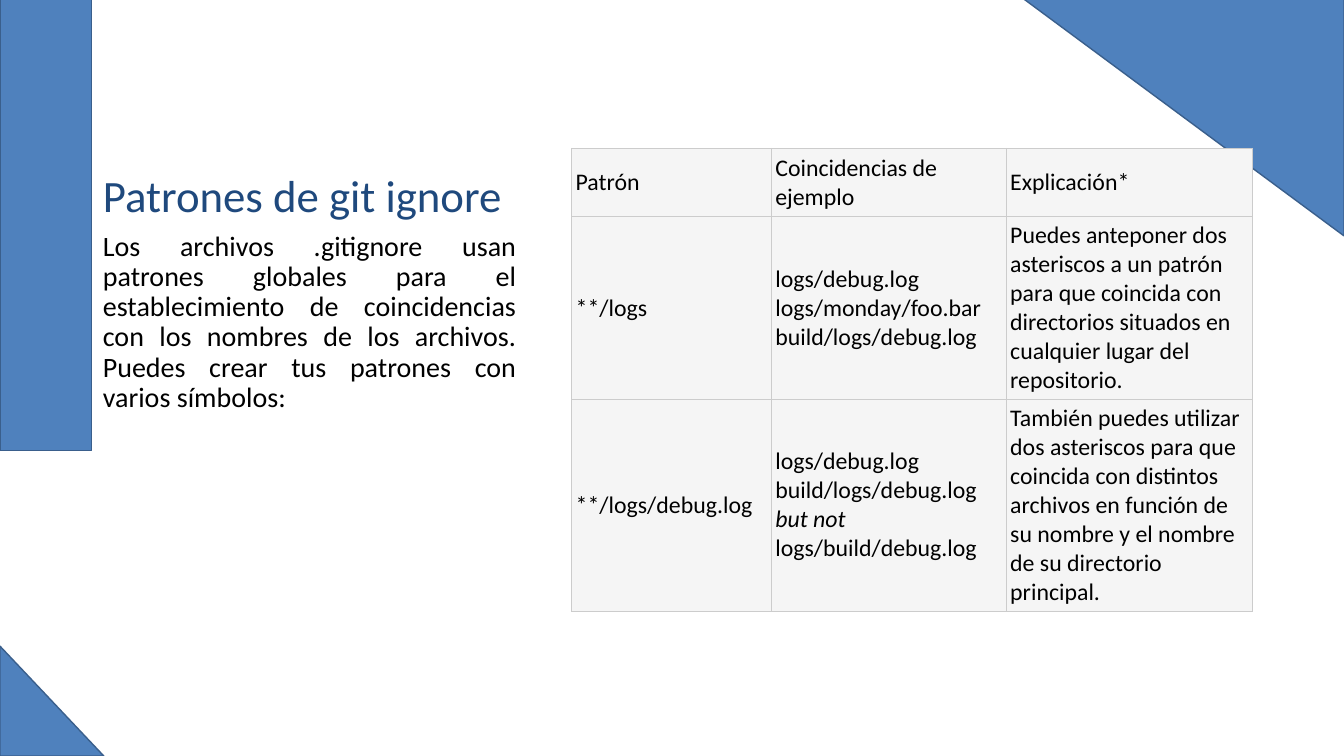
import pptx
import pptx.util
import pptx.dml.color
import pptx.enum.shapes
import pptx.enum.text
import pptx.oxml
import pptx.oxml.ns
from pptx.util import Inches, Pt

FONT = "Calibri"
COLORS = {
    "accent": "4F81BD",
    "outline": "3A5F8C",
    "title": "1F497D",
    "text": "000000",
    "cell": "F5F5F5",
    "border": "CCCCCC",
}

TITLE = "Patrones de git ignore"
INTRO = (
    "Los archivos .gitignore usan patrones globales para el establecimiento de "
    "coincidencias con los nombres de los archivos. Puedes crear tus patrones con "
    "varios símbolos:"
)
ITALIC_LINE = "but not"
# Each cell is a list of lines.
PATTERN_ROWS = [
    [["Patrón"], ["Coincidencias de ejemplo"], ["Explicación*"]],
    [
        ["**/logs"],
        ["logs/debug.log", "logs/monday/foo.bar", "build/logs/debug.log"],
        ["Puedes anteponer dos asteriscos a un patrón para que coincida con "
         "directorios situados en cualquier lugar del repositorio."],
    ],
    [
        ["**/logs/debug.log"],
        ["logs/debug.log", "build/logs/debug.log", ITALIC_LINE, "logs/build/debug.log"],
        ["También puedes utilizar dos asteriscos para que coincida con distintos "
         "archivos en función de su nombre y el nombre de su directorio principal."],
    ],
]
COLUMN_WIDTHS = [1.98, 2.33, 2.44]
ROW_HEIGHTS = [0.68, 1.8, 2.08]
TABLE_LEFT, TABLE_TOP = 5.67, 1.47
TEXT_LEFT, TEXT_WIDTH = 0.92, 4.3

SHAPES = pptx.enum.shapes.MSO_SHAPE
# Shape, left, top, width, height, rotation
DECORATIONS = [
    (SHAPES.RIGHT_TRIANGLE, 10.1, -0.05, 3.23, 2.39, 180),
    (SHAPES.RIGHT_TRIANGLE, 0, 6.41, 1.03, 1.09, 0),
    (SHAPES.RECTANGLE, 0, -0.01, 0.91, 4.48, 0),
]


def rgb(name):
    return pptx.dml.color.RGBColor.from_string(COLORS[name])


def style_runs(para, size, color):
    for span in para.runs:
        span.font.name = FONT
        span.font.size = Pt(size)
        span.font.bold = False
        span.font.italic = span.text == ITALIC_LINE
        span.font.color.rgb = rgb(color)


def add_decoration(page, kind, left, top, width, height, rotation):
    shape = page.shapes.add_shape(
        kind, Inches(left), Inches(top), Inches(width), Inches(height))
    shape.rotation = rotation
    shape.shadow.inherit = False
    shape.fill.solid()
    shape.fill.fore_color.rgb = rgb("accent")
    shape.line.color.rgb = rgb("outline")
    shape.line.width = Pt(1)


def fill_placeholder(box, text, top, height, size, color, align, anchor):
    box.left, box.top = Inches(TEXT_LEFT), Inches(top)
    box.width, box.height = Inches(TEXT_WIDTH), Inches(height)
    frame = box.text_frame
    frame.text = text
    frame.word_wrap = True
    frame.auto_size = pptx.enum.text.MSO_AUTO_SIZE.NONE
    frame.vertical_anchor = anchor
    para = frame.paragraphs[0]
    para.alignment = align
    para.line_spacing = 0.9
    style_runs(para, size, color)
    return para


def remove_bullet(para):
    properties = para._p.get_or_add_pPr()
    properties.set("marL", "0")
    properties.set("indent", "0")
    properties.append(properties.makeelement(pptx.oxml.ns.qn("a:buNone"), {}))


def add_borders(cell):
    properties = cell._tc.get_or_add_tcPr()
    for position, side in enumerate(("lnL", "lnR", "lnT", "lnB")):
        border = pptx.oxml.parse_xml(
            f'<a:{side} {pptx.oxml.ns.nsdecls("a")} w="{Pt(0.6)}"><a:solidFill>'
            f'<a:srgbClr val="{COLORS["border"]}"/></a:solidFill></a:{side}>')
        properties.insert(position, border)


def fill_cell(cell, lines):
    cell.text_frame.text = "\v".join(lines)
    cell.vertical_anchor = pptx.enum.text.MSO_ANCHOR.MIDDLE
    cell.margin_left = cell.margin_right = Inches(0.04)
    cell.margin_top = cell.margin_bottom = Inches(0.04)
    cell.fill.solid()
    cell.fill.fore_color.rgb = rgb("cell")
    style_runs(cell.text_frame.paragraphs[0], 17, "text")
    add_borders(cell)


def add_pattern_table(page):
    table = page.shapes.add_table(
        len(ROW_HEIGHTS), len(COLUMN_WIDTHS), Inches(TABLE_LEFT), Inches(TABLE_TOP),
        Inches(sum(COLUMN_WIDTHS)), Inches(sum(ROW_HEIGHTS))).table
    table.first_row = False
    table.horz_banding = False
    for column, width in zip(table.columns, COLUMN_WIDTHS):
        column.width = Inches(width)
    for row, height, contents in zip(table.rows, ROW_HEIGHTS, PATTERN_ROWS):
        row.height = Inches(height)
        for cell, lines in zip(row.cells, contents):
            fill_cell(cell, lines)


def main():
    deck = pptx.Presentation()
    deck.slide_width, deck.slide_height = Inches(13.33), Inches(7.5)
    page = deck.slides.add_slide(deck.slide_layouts[1])
    for decoration in DECORATIONS:
        add_decoration(page, *decoration)

    align, anchor = pptx.enum.text.PP_ALIGN, pptx.enum.text.MSO_ANCHOR
    fill_placeholder(page.shapes.title, TITLE, 0.5, 1.75, 32, "title",
                     align.LEFT, anchor.BOTTOM)
    intro = fill_placeholder(page.placeholders[1], INTRO, 2.25, 4.17, 20, "text",
                             align.JUSTIFY, anchor.TOP)
    intro.space_before = Pt(10)
    remove_bullet(intro)

    add_pattern_table(page)
    deck.save("out.pptx")


if __name__ == "__main__":
    main()
